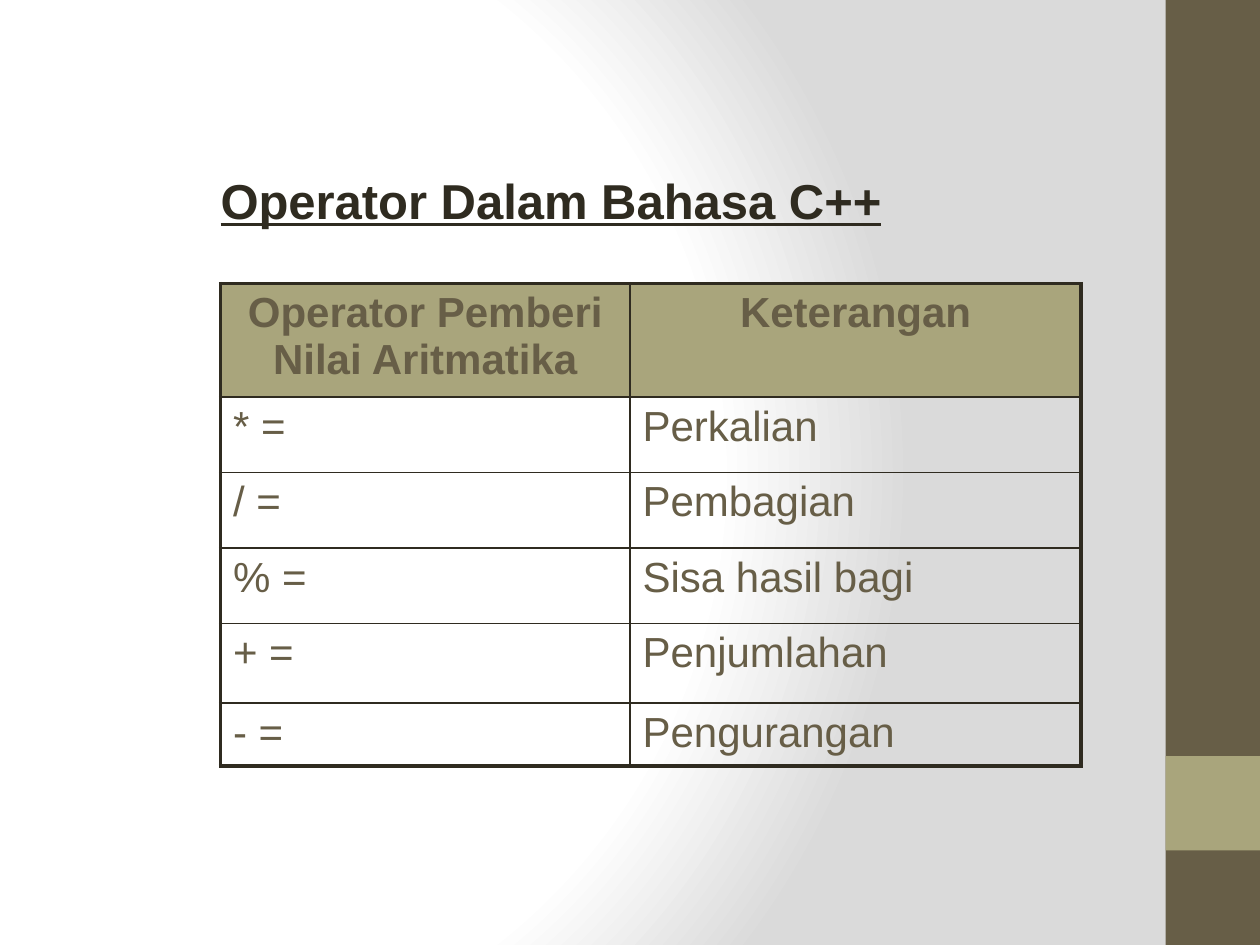
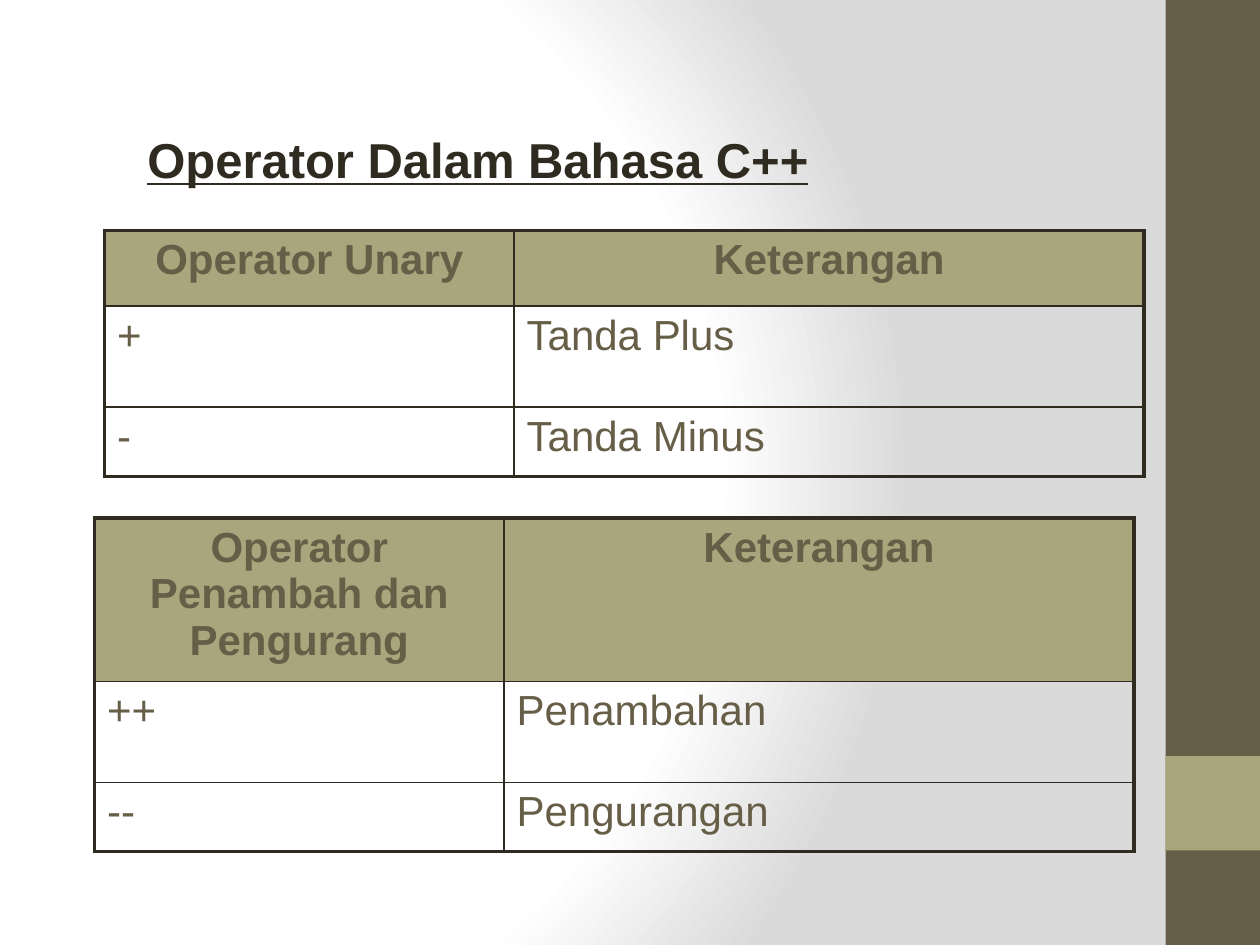
from dataclasses import dataclass

from lxml import etree
from pptx import Presentation
from pptx.dml.color import RGBColor
from pptx.enum.shapes import MSO_SHAPE as Shape
from pptx.enum.text import MSO_ANCHOR as Anchor, PP_ALIGN as Align
from pptx.oxml import parse_xml
from pptx.oxml.ns import nsdecls, qn
from pptx.util import Inches, Pt


@dataclass(frozen=True)
class Theme:
    ink: str = "2F2B20"
    brown: str = "675E47"
    olive: str = "A9A57C"
    white: str = "FFFFFF"
    grey: str = "DADADA"
    font: str = "Arial"
    title_size: float = 28
    table_size: float = 24
    outer_line: float = 2.25
    inner_line: float = 1


THEME = Theme()
WIDTH, HEIGHT = 10, 7.5
BAND = 0.75  # width of the side band, and side of its square
TITLE = "Operator Dalam Bahasa C++"
KEY_COL = 3.25  # operator column, shared by all tables


def format_runs(p, size, color, bold=False, underline=None):
    for r in p.runs:
        f = r.font
        f.name, f.size, f.bold, f.underline = THEME.font, Pt(size), bold, underline
        f.color.rgb = RGBColor.from_string(color)


# Shared master: background and side band
def set_background(master):
    stops = ((0, THEME.white), (75, THEME.white), (100, THEME.grey))
    stop_xml = "".join(
        f'<a:gs pos="{pos * 1000}"><a:srgbClr val="{color}"/></a:gs>'
        for pos, color in stops)
    c_sld = master.element.find(qn("p:cSld"))
    for old in c_sld.findall(qn("p:bg")):
        c_sld.remove(old)
    c_sld.insert(0, parse_xml(
        f'<p:bg {nsdecls("p", "a")}><p:bgPr><a:gradFill rotWithShape="1">'
        f'<a:gsLst>{stop_xml}</a:gsLst><a:path path="circle">'
        '<a:fillToRect l="20000" t="50000" r="100000" b="50000"/></a:path>'
        '</a:gradFill><a:effectLst/></p:bgPr></p:bg>'))


def move_band_to_master(slide, master):
    """Draw the band on a slide, then move it behind the master's placeholders."""
    tree = master.element.find(qn("p:cSld")).find(qn("p:spTree"))
    parts = ((0, HEIGHT, THEME.brown), (HEIGHT - 2 * BAND, BAND, THEME.olive))
    for i, (top, height, color) in enumerate(parts):
        sp = slide.shapes.add_shape(
            Shape.RECTANGLE, Inches(WIDTH - BAND), Inches(top),
            Inches(BAND), Inches(height))
        sp.shadow.inherit = False
        sp.fill.solid()
        sp.fill.fore_color.rgb = RGBColor.from_string(color)
        sp.line.fill.background()
        sp.element.nvSpPr.cNvPr.set("id", str(100 + i))
        tree.insert(2 + i, sp.element)


def add_title(slide, left, top):
    sp = slide.shapes.title
    sp.left, sp.top = Inches(left), Inches(top)
    sp.width, sp.height = Inches(6.33), Inches(0.47)
    tf = sp.text_frame
    tf.text = TITLE
    tf.word_wrap = True
    tf.vertical_anchor = Anchor.TOP
    tf.margin_left = tf.margin_top = tf.margin_right = tf.margin_bottom = 0
    p = tf.paragraphs[0]
    p.alignment = Align.JUSTIFY
    format_runs(p, THEME.title_size, THEME.ink, bold=True, underline=True)


def set_borders(cell, outer):
    """Rule all four sides; the sides named in outer get the heavy line."""
    tc_pr = cell._tc.get_or_add_tcPr()
    for side in "LRTB":
        width = THEME.outer_line if side in outer else THEME.inner_line
        ln = etree.SubElement(tc_pr, qn(f"a:ln{side}"), w=str(Pt(width)))
        fill = etree.SubElement(ln, qn("a:solidFill"))
        etree.SubElement(fill, qn("a:srgbClr"), val=THEME.ink)


def add_operator_table(slide, left, top, note_col, heights, rows):
    widths = (KEY_COL, note_col)
    tbl = slide.shapes.add_table(
        len(rows), len(widths), Inches(left), Inches(top),
        Inches(sum(widths)), Inches(sum(heights))).table
    tbl.first_row = tbl.horz_banding = False
    for col, width in zip(tbl.columns, widths):
        col.width = Inches(width)
    for row, height in zip(tbl.rows, heights):
        row.height = Inches(height)

    last = len(rows) - 1
    for i, texts in enumerate(rows):
        header = i == 0
        for j, text in enumerate(texts):
            cell = tbl.cell(i, j)
            outer = "LR"[j] + ("T" if header else "") + ("B" if i == last else "")
            set_borders(cell, outer)
            if header:
                cell.fill.solid()
                cell.fill.fore_color.rgb = RGBColor.from_string(THEME.olive)
            else:
                cell.fill.background()
            cell.text_frame.text = text
            p = cell.text_frame.paragraphs[0]
            p.alignment = Align.CENTER if header else Align.LEFT
            format_runs(p, THEME.table_size, THEME.brown, bold=header)


def main():
    prs = Presentation()
    prs.slide_width, prs.slide_height = Inches(WIDTH), Inches(HEIGHT)
    master = prs.slide_master
    title_only = prs.slide_layouts[5]
    set_background(master)

    # Slide 1: arithmetic assignment operators
    s = prs.slides.add_slide(title_only)
    move_band_to_master(s, master)
    add_title(s, 1.75, 1.35)
    add_operator_table(s, 1.75, 2.25, 3.58, (0.9, 0.6, 0.6, 0.6, 0.63, 0.5), (
        ("Operator Pemberi Nilai Aritmatika", "Keterangan"),
        ("* =", "Perkalian"),
        ("/ =", "Pembagian"),
        ("% =", "Sisa hasil bagi"),
        ("+ =", "Penjumlahan"),
        ("- =", "Pengurangan"),
    ))

    # Slide 2: unary, increment and decrement operators
    s = prs.slides.add_slide(title_only)
    add_title(s, 1.17, 1.03)
    add_operator_table(s, 0.83, 1.83, 5, (0.6, 0.8, 0.55), (
        ("Operator Unary", "Keterangan"),
        ("+", "Tanda Plus"),
        ("-", "Tanda Minus"),
    ))
    add_operator_table(s, 0.75, 4.11, 5, (1.3, 0.8, 0.55), (
        ("Operator Penambah dan Pengurang", "Keterangan"),
        ("++", "Penambahan"),
        ("--", "Pengurangan"),
    ))

    prs.save("out.pptx")


main()
